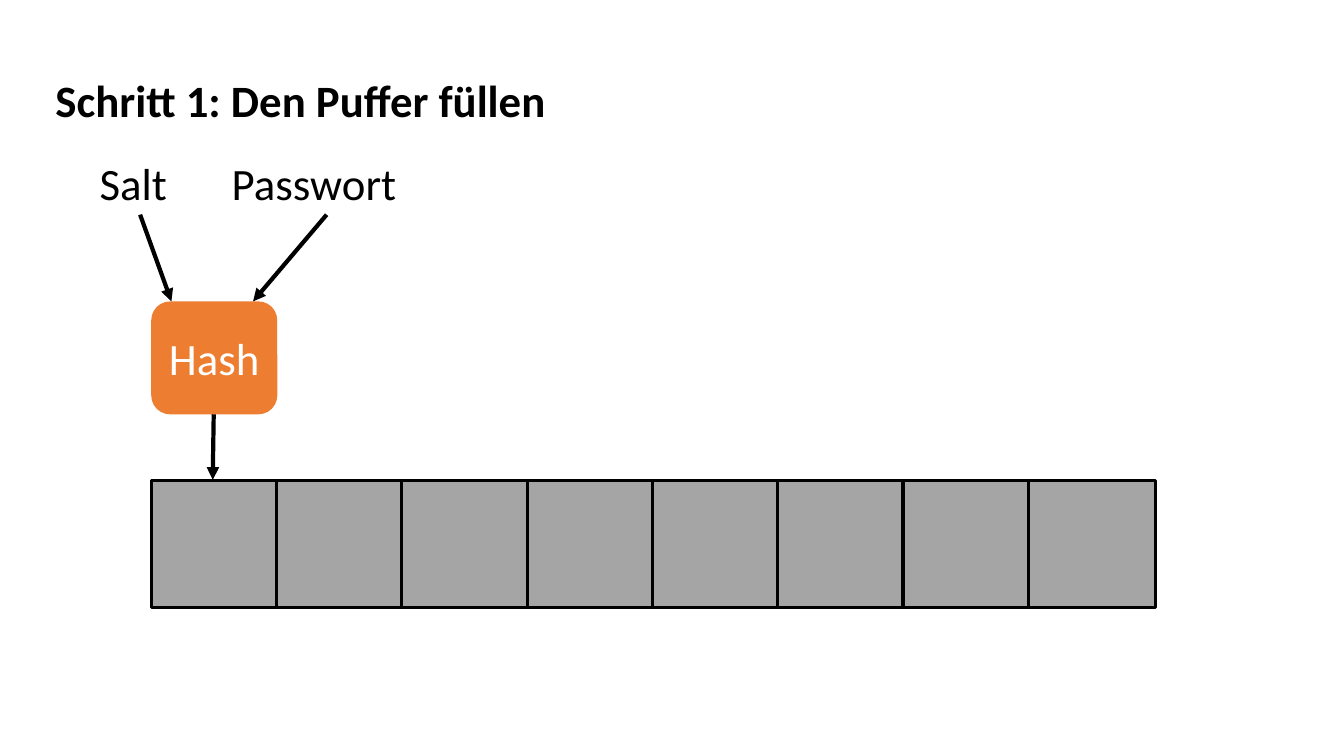
from dataclasses import dataclass

from pptx import Presentation
from pptx.dml.color import RGBColor
from pptx.enum.shapes import MSO_CONNECTOR, MSO_SHAPE
from pptx.enum.text import MSO_ANCHOR, MSO_AUTO_SIZE, PP_ALIGN
from pptx.oxml.ns import qn
from pptx.util import Inches, Pt
from lxml import etree

STRAIGHT = MSO_CONNECTOR.STRAIGHT
RECT, ROUNDED = MSO_SHAPE.RECTANGLE, MSO_SHAPE.ROUNDED_RECTANGLE
TOP, MIDDLE = MSO_ANCHOR.TOP, MSO_ANCHOR.MIDDLE
LEFT, CENTER = PP_ALIGN.LEFT, PP_ALIGN.CENTER
NO_AUTOFIT = MSO_AUTO_SIZE.NONE
TITLE_ONLY = 5


@dataclass(frozen=True)
class Theme:
    font: str = "Calibri"
    size: int = 32
    ink: str = "000000"
    on_hash: str = "FFFFFF"
    hash_fill: str = "ED7D31"
    buffer_fill: str = "A5A5A5"
    arrow_width: float = 3
    cell_line: float = 2.25


THEME = Theme()


def rgb(value):
    return RGBColor.from_string(value)


def write(shape, text, color=THEME.ink, bold=False, align=LEFT, anchor=TOP):
    tf = shape.text_frame
    frame = {"word_wrap": True, "auto_size": NO_AUTOFIT, "vertical_anchor": anchor}
    for name, value in frame.items():
        setattr(tf, name, value)
    p = tf.paragraphs[0]
    p.alignment = align
    r = p.add_run()
    r.text = text
    for name, value in {"name": THEME.font, "size": Pt(THEME.size), "bold": bold}.items():
        setattr(r.font, name, value)
    r.font.color.rgb = rgb(color)


def add_title(s, text, left, top, width, height):
    title = s.shapes.title
    place = {"left": left, "top": top, "width": width, "height": height}
    for name, value in place.items():
        setattr(title, name, Inches(value))
    write(title, text, bold=True)


def add_label(s, text, left, top, width, height):
    box = s.shapes.add_textbox(*map(Inches, (left, top, width, height)))
    write(box, text)


def add_box(s, kind, left, top, width, height, fill, line_width=None):
    sp = s.shapes.add_shape(kind, *map(Inches, (left, top, width, height)))
    sp.shadow.inherit = False
    sp.fill.solid()
    sp.fill.fore_color.rgb = rgb(fill)
    if line_width:
        sp.line.color.rgb = rgb(THEME.ink)
        sp.line.width = Pt(line_width)
    else:
        sp.line.fill.background()
    return sp


def add_arrow(s, start, end):
    arrow = s.shapes.add_connector(STRAIGHT, *map(Inches, (*start, *end)))
    arrow.line.color.rgb = rgb(THEME.ink)
    arrow.line.width = Pt(THEME.arrow_width)
    etree.SubElement(arrow.line._get_or_add_ln(), qn("a:tailEnd"), type="triangle")
    etree.SubElement(arrow._element.spPr, qn("a:effectLst"))


def add_buffer(s, left, top, cell, pitch, count):
    for i in range(count):
        add_box(s, RECT, left + i * pitch, top, cell, cell,
                THEME.buffer_fill, THEME.cell_line)


def main():
    prs = Presentation()
    prs.slide_width, prs.slide_height = Inches(13.33), Inches(7.5)
    s = prs.slides.add_slide(prs.slide_layouts[TITLE_ONLY])

    add_title(s, "Schritt 1: Den Puffer füllen", 0.45, 0.67, 6.24, 0.64)

    # Inputs and hash function
    add_label(s, "Salt", 0.89, 1.5, 0.99, 0.64)
    add_label(s, "Passwort", 2.2, 1.5, 2.08, 0.64)
    hash_box = add_box(s, ROUNDED, 1.5, 2.99, 1.25, 1.12, THEME.hash_fill)
    write(hash_box, "Hash", THEME.on_hash, align=CENTER, anchor=MIDDLE)

    # Data flow: inputs to hash, hash to first buffer cell
    for start, end in (
        ((1.39, 2.13), (1.7, 2.99)),
        ((3.24, 2.13), (2.51, 2.99)),
        ((2.12, 4.11), (2.11, 4.76)),
    ):
        add_arrow(s, start, end)

    # Buffer
    add_buffer(s, left=1.5, top=4.77, cell=1.26, pitch=8.7 / 7, count=8)

    prs.save("out.pptx")


main()
